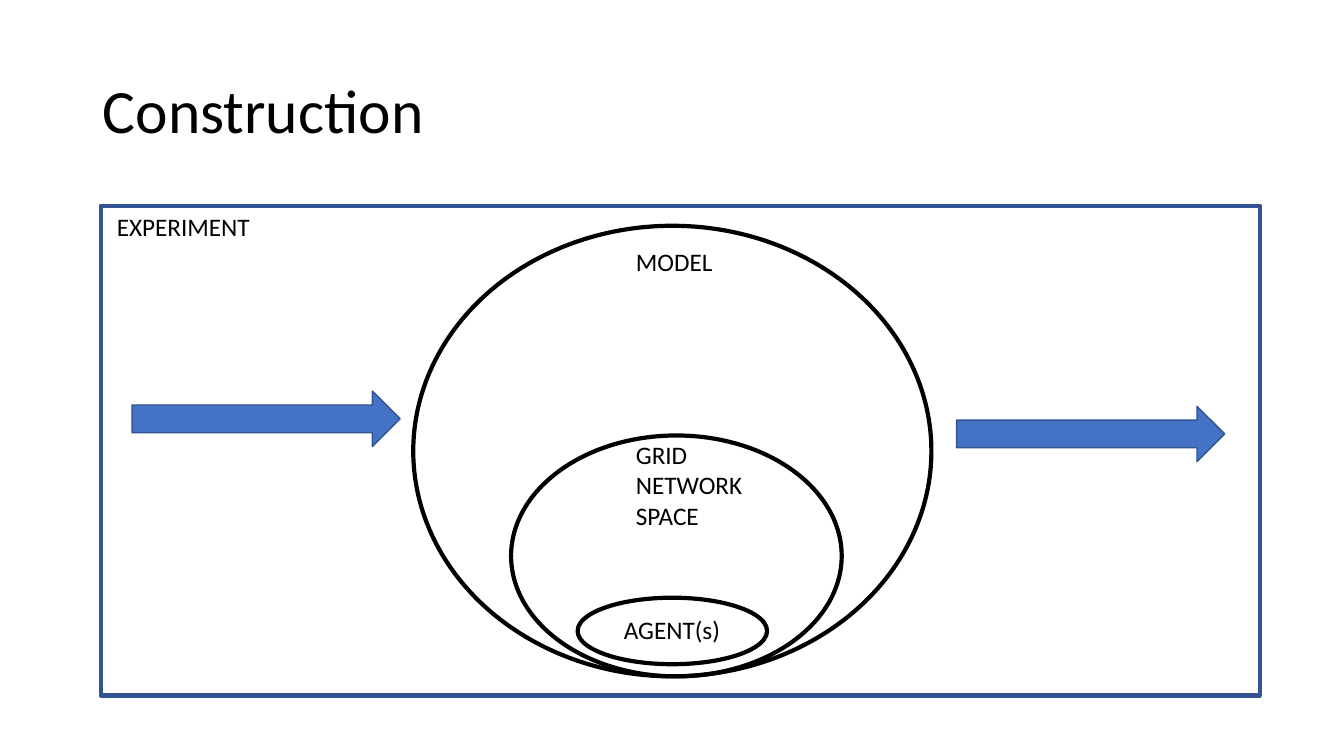
from pptx import Presentation
from pptx.dml.color import RGBColor
from pptx.enum.shapes import MSO_SHAPE as Shape
from pptx.enum.text import MSO_ANCHOR as Anchor, MSO_AUTO_SIZE as Fit, PP_ALIGN as Align
from pptx.util import Inches, Pt

CELL = 0.1  # side of a grid cell in inches
COLUMNS, ROWS = 133.33, 75
BLACK, BLUE, NAVY = "000000", "4472C4", "325491"


def cells(count):
    return Inches(count * CELL)


def color(hex_code):
    return RGBColor.from_string(hex_code)


def write(frame, *lines, size=18, font="Calibri", ink=BLACK, spacing=1.0,
          anchor=Anchor.TOP, fit=Fit.SHAPE_TO_FIT_TEXT):
    """Write one paragraph per line; a line feed inside a line is a soft break."""
    frame.word_wrap = True
    frame.auto_size = fit
    frame.vertical_anchor = anchor
    for index, line in enumerate(lines):
        paragraph = frame.add_paragraph() if index else frame.paragraphs[0]
        paragraph.text = line
        paragraph.alignment = Align.LEFT
        paragraph.line_spacing = spacing
        for run in paragraph.runs:
            run.font.size = Pt(size)
            run.font.name = font
            run.font.color.rgb = color(ink)


class DiagramSlide:
    """Places elements by column, row, width and height in grid cells."""

    def __init__(self, deck):
        self.slide = deck.slides.add_slide(deck.slide_layouts[5])

    def title(self, text, *box):
        heading = self.slide.shapes.title
        heading.left, heading.top, heading.width, heading.height = map(cells, box)
        write(heading.text_frame, text, size=44, spacing=0.9,
              anchor=Anchor.MIDDLE, fit=Fit.NONE)

    def label(self, *lines, at):
        box = self.slide.shapes.add_textbox(*map(cells, at))
        write(box.text_frame, *lines)

    def _shape(self, kind, box, line, weight, fill=None):
        shape = self.slide.shapes.add_shape(kind, *map(cells, box))
        shape.shadow.inherit = False
        if fill:
            shape.fill.solid()
            shape.fill.fore_color.rgb = color(fill)
        else:
            shape.fill.background()
        shape.line.color.rgb = color(line)
        shape.line.width = Pt(weight)

    def layer(self, *box):
        self._shape(Shape.OVAL, box, BLACK, 3)

    def arrow(self, *box):
        self._shape(Shape.RIGHT_ARROW, box, NAVY, 1, BLUE)

    def frame(self, *box):
        self._shape(Shape.RECTANGLE, box, NAVY, 3)


def main():
    deck = Presentation()
    deck.slide_width, deck.slide_height = cells(COLUMNS), cells(ROWS)
    construction = DiagramSlide(deck)
    construction.title("Construction", 9.2, 4, 115, 14.5)

    # Nested layers: model, agents, environment
    construction.layer(41, 22.4, 51.4, 44.7)
    construction.layer(57.3, 59.3, 18.8, 6.6)
    construction.label("AGENT(s)", at=(60.9, 60.5, 12.6, 4))
    construction.label("MODEL", at=(62.1, 23.9, 15.9, 4))
    construction.layer(50.7, 43.2, 32.8, 23.9)
    construction.label("GRID\nNETWORK", "SPACE", at=(62.1, 43.1, 15.9, 10.1))

    # Input and output arrows
    for column, row in ((13.1, 38.8), (94.9, 40.3)):
        construction.arrow(column, row, 26.6, 5.5)

    # Experiment around the model
    construction.frame(10, 20.4, 115, 48.6)
    construction.label("EXPERIMENT", at=(10.6, 20.5, 15.9, 4))

    deck.save("out.pptx")


if __name__ == "__main__":
    main()
